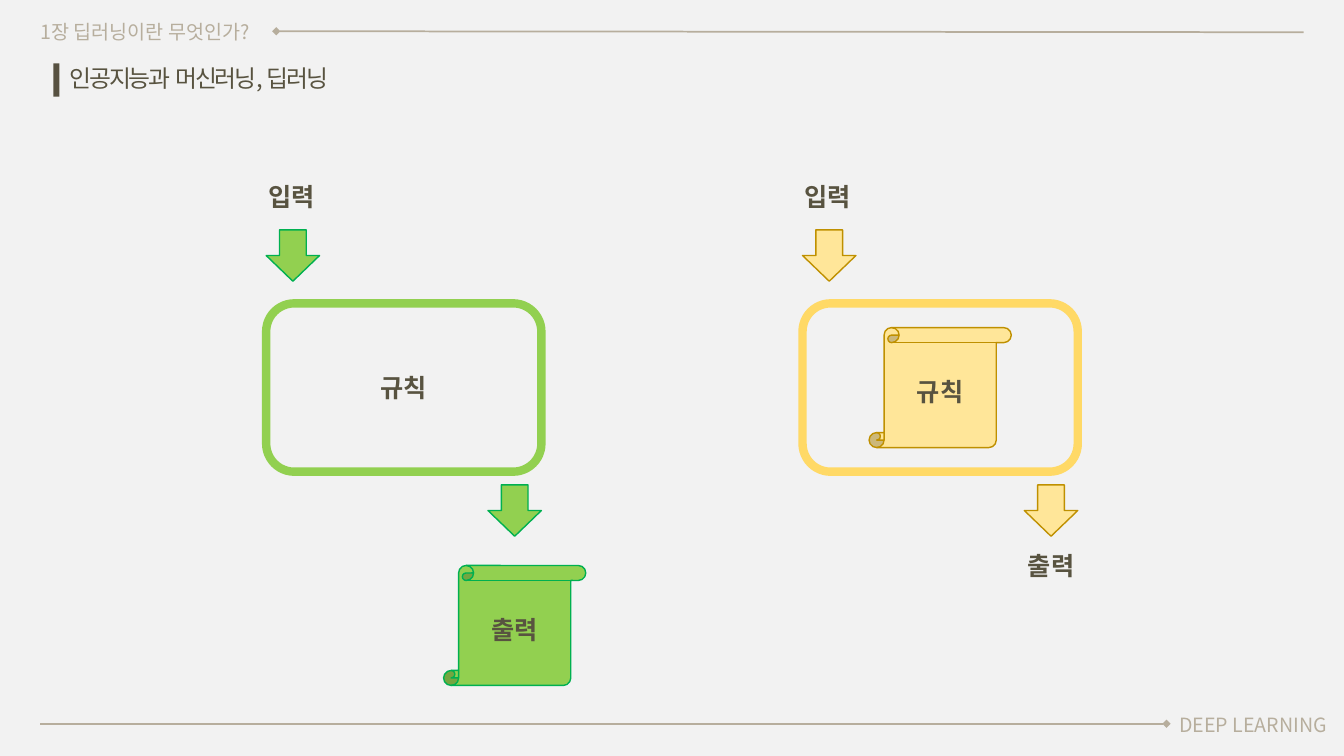
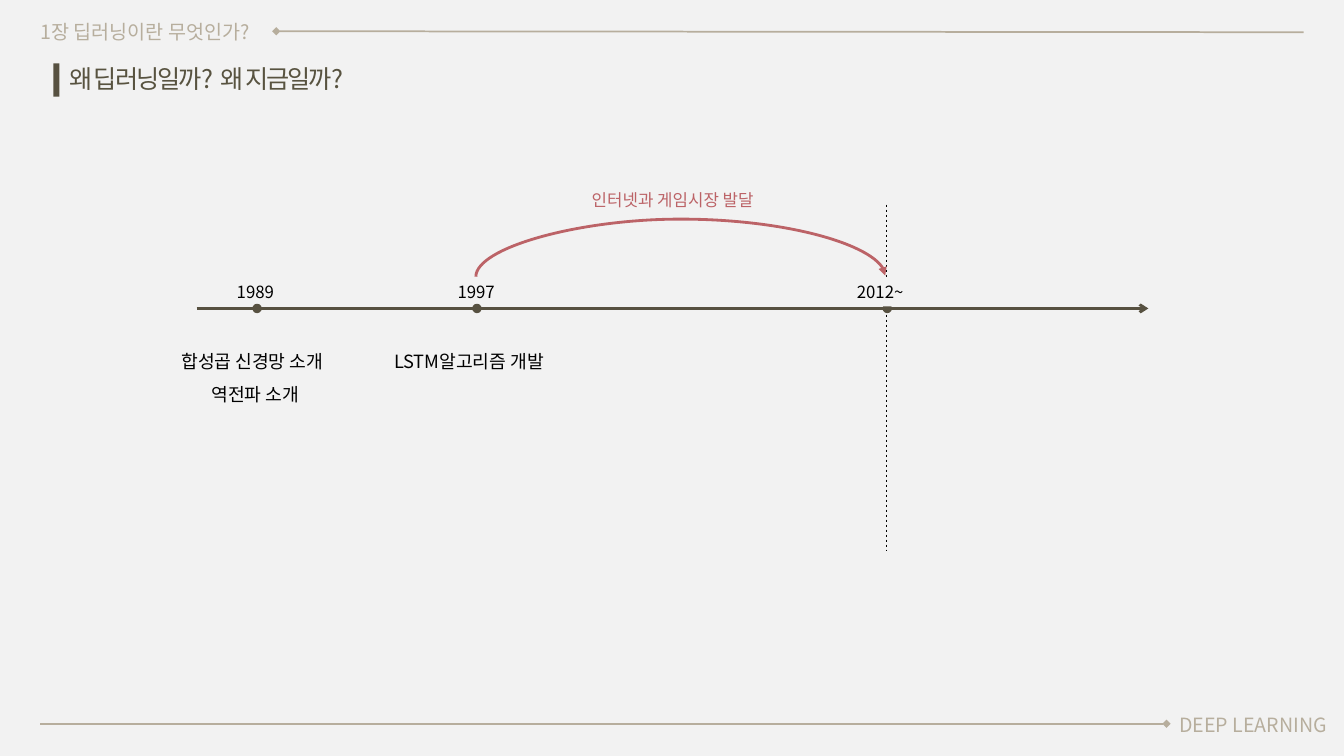
from dataclasses import dataclass

from lxml.etree import SubElement
from pptx import Presentation
from pptx.dml.color import RGBColor
from pptx.enum.dml import MSO_LINE
from pptx.enum.shapes import MSO_CONNECTOR, MSO_SHAPE
from pptx.enum.text import MSO_ANCHOR, MSO_AUTO_SIZE, PP_ALIGN
from pptx.oxml.ns import qn
from pptx.presentation import Presentation as Deck
from pptx.shapes.autoshape import Shape
from pptx.shapes.connector import Connector
from pptx.slide import Slide
from pptx.text.text import TextFrame
from pptx.util import Inches, Pt


@dataclass(frozen=True)
class Theme:
    font: str = "Noto Sans CJK KR"
    background: str = "F2F2F2"
    band: str = "B7AE9D"
    heading: str = "585340"
    dark: str = "575141"
    black: str = "000000"
    accent: str = "BC6367"
    band_size: int = 14
    label_size: int = 18
    event_size: int = 13
    year_size: int = 12


@dataclass(frozen=True)
class Node:
    """A word placed relative to its panel, on a scroll or bare."""
    text: str
    dx: float
    y: float
    scroll: bool = False


@dataclass(frozen=True)
class Panel:
    left: float
    frame: str
    fill: str
    outline: str
    nodes: tuple[Node, ...]


@dataclass(frozen=True)
class Milestone:
    year: str
    x: float
    year_left: float
    year_width: float
    year_fill: str | None = None


@dataclass(frozen=True)
class Event:
    text: str
    left: float
    top: float
    width: float


T = Theme()
PANELS = (
    Panel(2.64, "92D050", "92D050", "00B050",
          (Node("규칙", 0.64, 3.64), Node("출력", 1.76, 5.61, True))),
    Panel(7.96, "FFD966", "FFE699", "BF9000",
          (Node("규칙", 0.66, 3.25, True), Node("출력", 1.74, 5.41))),
)
AXIS_Y = 3.06
MILESTONES = (
    Milestone("1989", 2.55, 2.25, 0.57),
    Milestone("1997", 4.73, 4.44, 0.57),
    Milestone("2012~", 8.8, 8.4, 0.75, T.background),
)
EVENTS = (
    Event("합성곱 신경망 소개", 1.7, 3.43, 1.92),
    Event("역전파 소개", 2.0, 3.75, 1.21),
    Event("LSTM알고리즘 개발", 3.81, 3.43, 1.92),
)


def rgb(color: str) -> RGBColor:
    return RGBColor.from_string(color)


def write(tf: TextFrame, text: str, size: int, color: str, bold: bool = False,
          align: PP_ALIGN | None = None, spacing: float = 0) -> None:
    p = tf.paragraphs[0]
    p.text = text
    p.alignment = align
    font = p.font
    font.name, font.size, font.bold = T.font, Pt(size), bold
    font.color.rgb = rgb(color)
    props = font._element
    SubElement(props, qn("a:ea"), typeface=T.font)
    if spacing:
        props.set("spc", str(int(spacing * 100)))


def add_text(s: Slide, text: str, left: float, top: float, width: float, height: float,
             size: int, color: str, wrap: bool = True, bold: bool = False,
             align: PP_ALIGN | None = None, spacing: float = 0) -> Shape:
    sp = s.shapes.add_textbox(Inches(left), Inches(top), Inches(width), Inches(height))
    tf = sp.text_frame
    tf.word_wrap = wrap
    tf.auto_size = MSO_AUTO_SIZE.SHAPE_TO_FIT_TEXT
    write(tf, text, size, color, bold, align, spacing)
    return sp


def add_box(s: Slide, kind: MSO_SHAPE, left: float, top: float, width: float, height: float,
            fill: str | None = None, outline: str | None = None, weight: float = 1) -> Shape:
    sp = s.shapes.add_shape(kind, Inches(left), Inches(top), Inches(width), Inches(height))
    sp.shadow.inherit = False
    if fill:
        sp.fill.solid()
        sp.fill.fore_color.rgb = rgb(fill)
    else:
        sp.fill.background()
    if outline:
        sp.line.color.rgb = rgb(outline)
        sp.line.width = Pt(weight)
    else:
        sp.line.fill.background()
    return sp


def add_line(s: Slide, x1: float, y1: float, x2: float, y2: float, color: str, weight: float,
             head: str = "", tail: str = "",
             kind: MSO_CONNECTOR = MSO_CONNECTOR.STRAIGHT) -> Connector:
    c = s.shapes.add_connector(kind, Inches(x1), Inches(y1), Inches(x2), Inches(y2))
    c.line.color.rgb = rgb(color)
    c.line.width = Pt(weight)
    ln = c.line._get_or_add_ln()
    for tag, end in (("a:headEnd", head), ("a:tailEnd", tail)):
        if end:
            SubElement(ln, qn(tag), type=end)
    SubElement(c._element.spPr, qn("a:effectLst"))
    return c


def add_arc(s: Slide, x1: float, x2: float, y: float, rise: float) -> None:
    """Arch from x1 to x2: a thin curved connector turned a quarter, bulging by its adjustment."""
    drop = 0.01
    mid, half = (x1 + x2) / 2, (x2 - x1) / 2
    c = add_line(s, mid + drop / 2, y + half, mid - drop / 2, y - half, T.accent, 2,
                 tail="triangle", kind=MSO_CONNECTOR.CURVE)
    sp_pr = c._element.spPr
    sp_pr.find(qn("a:xfrm")).set("rot", str(90 * 60000))
    guides = sp_pr.find(qn("a:prstGeom")).find(qn("a:avLst"))
    SubElement(guides, qn("a:gd"), name="adj1", fmla=f"val {round(rise / drop * 100000)}")


def add_slide(prs: Deck, heading: str, heading_size: int) -> Slide:
    """Blank slide with the shared background, bands and heading."""
    s = prs.slides.add_slide(prs.slide_layouts[6])
    s.background.fill.solid()
    s.background.fill.fore_color.rgb = rgb(T.background)
    add_line(s, 2.74, 0.31, 12.93, 0.32, T.band, 1.25, head="diamond")
    add_line(s, 0.4, 7.18, 11.57, 7.18, T.band, 1.25, tail="diamond")
    add_text(s, "1장 딥러닝이란 무엇인가?", 0.3, 0.15, 2.44, 0.32, T.band_size, T.band, wrap=False)
    add_text(s, "DEEP LEARNING", 11.54, 7.02, 1.78, 0.33, T.band_size, T.band,
             wrap=False, align=PP_ALIGN.CENTER)
    add_text(s, heading, 0.59, 0.58, 3.0, 0.4, heading_size, T.heading, wrap=False, spacing=-1.5)
    add_box(s, MSO_SHAPE.RECTANGLE, 0.53, 0.63, 0.06, 0.33, T.dark)
    return s


def add_panel(s: Slide, panel: Panel) -> None:
    x = panel.left
    add_box(s, MSO_SHAPE.ROUNDED_RECTANGLE, x, 3.01, 2.73, 1.67, outline=panel.frame, weight=6)
    for dx, y in ((0, 2.28), (2.2, 4.81)):
        add_box(s, MSO_SHAPE.DOWN_ARROW, x + dx, y, 0.53, 0.51, panel.fill, panel.outline)
    add_text(s, "입력", x - 0.08, 1.75, 0.75, 0.4, T.label_size, T.heading, bold=True)
    for node in panel.nodes:
        if node.scroll:
            sp = add_box(s, MSO_SHAPE.VERTICAL_SCROLL, x + node.dx, node.y, 1.41, 1.19,
                         panel.fill, panel.outline)
            sp.text_frame.vertical_anchor = MSO_ANCHOR.MIDDLE
            write(sp.text_frame, node.text, T.label_size, T.heading, True, PP_ALIGN.CENTER)
        else:
            add_text(s, node.text, x + node.dx, node.y, 1.45, 0.4, T.label_size, T.heading,
                     bold=True, align=PP_ALIGN.CENTER)


def add_milestone(s: Slide, m: Milestone) -> None:
    dot = 0.08
    add_box(s, MSO_SHAPE.OVAL, m.x - dot / 2, AXIS_Y - dot / 2, dot, dot, T.dark, T.dark)
    sp = add_text(s, m.year, m.year_left, 2.75, m.year_width, 0.29, T.year_size, T.black)
    if m.year_fill:
        sp.fill.solid()
        sp.fill.fore_color.rgb = rgb(m.year_fill)


def build_rules_slide(prs: Deck) -> None:
    s = add_slide(prs, "인공지능과  머신러닝, 딥러닝", 17)
    for panel in PANELS:
        add_panel(s, panel)


def build_timeline_slide(prs: Deck) -> None:
    s = add_slide(prs, "왜 딥러닝일까?  왜 지금일까?", 18)
    add_line(s, 1.95, AXIS_Y, 11.39, AXIS_Y, T.dark, 2, tail="arrow")
    divider = add_line(s, 8.79, 2.03, 8.79, 5.47, T.black, 0.5)
    divider.line.dash_style = MSO_LINE.DASH
    for m in MILESTONES:
        add_milestone(s, m)
    for e in EVENTS:
        add_text(s, e.text, e.left, e.top, e.width, 0.32, T.event_size, T.black)
    add_arc(s, 4.72, 8.78, 2.74, 0.58)
    add_text(s, "인터넷과 게임시장 발달", 5.77, 1.83, 2.05, 0.3, T.year_size, T.accent)


def main() -> None:
    prs = Presentation()
    prs.slide_width, prs.slide_height = Inches(13.33), Inches(7.5)
    build_rules_slide(prs)
    build_timeline_slide(prs)
    prs.save("out.pptx")


if __name__ == "__main__":
    main()
